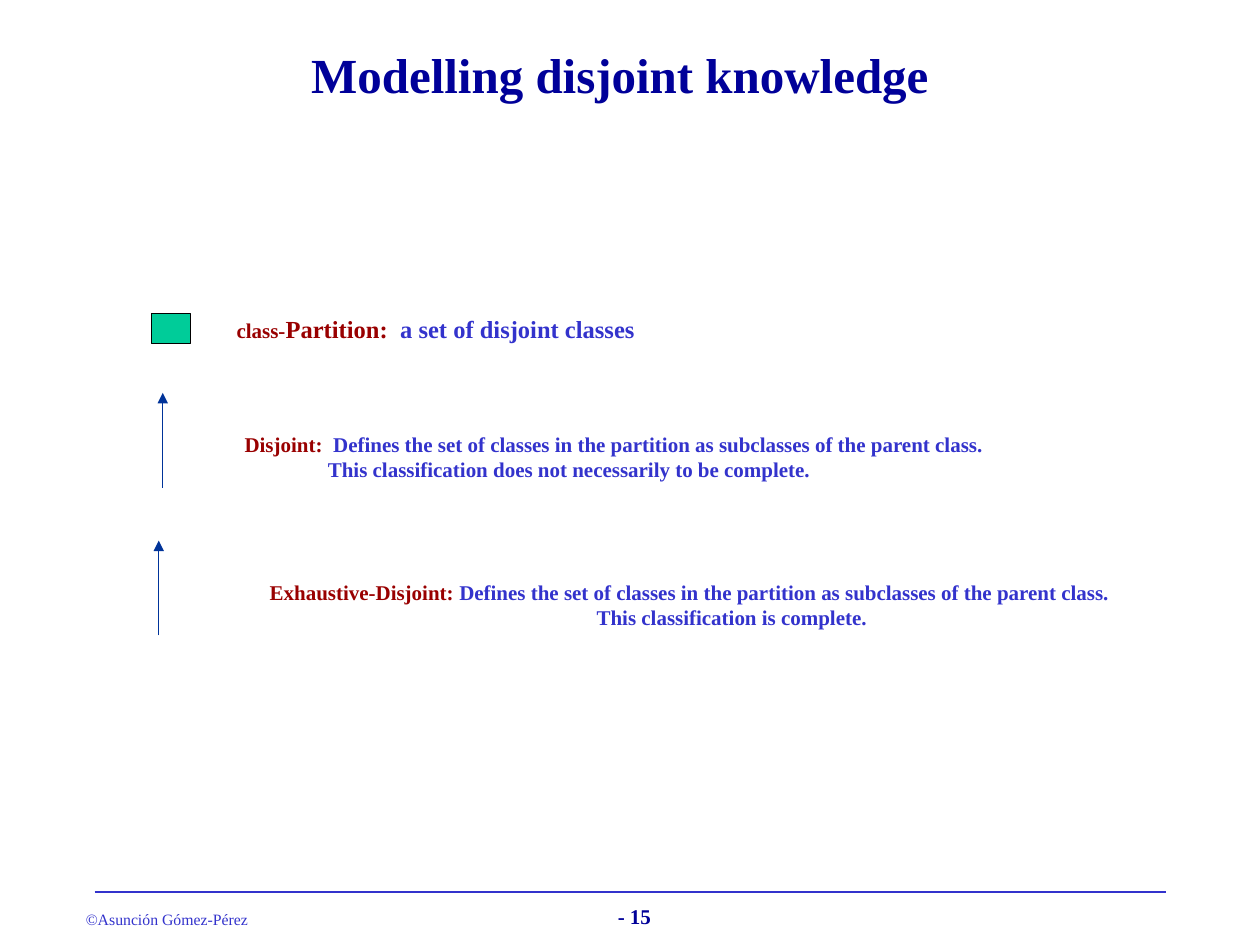
from dataclasses import dataclass

from lxml import etree
from pptx import Presentation
from pptx import util as u
from pptx.dml.color import RGBColor
from pptx.enum import shapes, text
from pptx.oxml import ns

Cm, Pt = u.Cm, u.Pt
LEFT, MID = text.PP_ALIGN.LEFT, text.PP_ALIGN.CENTER


@dataclass(frozen=True)
class Theme:
    font: str = "Times New Roman"
    navy: str = "000099"
    blue: str = "3333CC"
    red: str = "990000"
    green: str = "00CC99"
    black: str = "000000"
    arrow: str = "003399"
    title: int = 28
    lead: int = 14
    body: int = 12
    small: int = 9


T = Theme()


def rgb(code):
    return RGBColor.from_string(code)


def write(slide, box, paras, size=T.body, color=T.blue, bold=True,
          align=LEFT, anchor=text.MSO_ANCHOR.TOP, indent=0):
    """Each paragraph is a list of (text, format) runs; indent is for lines after the first."""
    frame = slide.shapes.add_textbox(*map(Cm, box)).text_frame
    frame.word_wrap = True
    frame.vertical_anchor = anchor
    for i, runs in enumerate(paras):
        para = frame.paragraphs[0] if i == 0 else frame.add_paragraph()
        para.alignment = align
        if i and indent:
            props = para._p.get_or_add_pPr()
            props.set("marL", str(Cm(indent)))
            props.set("indent", "0")
        for words, form in runs:
            run = para.add_run()
            run.text = words
            font = run.font
            font.name, font.bold = T.font, bold
            font.size = Pt(form.get("size", size))
            font.color.rgb = rgb(form.get("color", color))


def draw_line(slide, start, end, color, width, head=False):
    line = slide.shapes.add_connector(
        shapes.MSO_CONNECTOR.STRAIGHT, *map(Cm, (*start, *end)))
    line.line.color.rgb = rgb(color)
    line.line.width = Pt(width)
    if head:
        etree.SubElement(line.line._get_or_add_ln(), ns.qn("a:tailEnd"), type="triangle")
    etree.SubElement(line._element.spPr, ns.qn("a:effectLst"))


def add_title(slide, box):
    write(slide, box, [[("Modelling disjoint knowledge", {})]], size=T.title,
          color=T.navy, align=MID, anchor=text.MSO_ANCHOR.MIDDLE)


def add_class(slide, box):
    """Green swatch and the meaning of a class partition."""
    x, y, w, h = box
    swatch = slide.shapes.add_shape(
        shapes.MSO_SHAPE.RECTANGLE, *map(Cm, (x, y + 0.12, 0.79, 0.61)))
    swatch.shadow.inherit = False
    swatch.fill.solid()
    swatch.fill.fore_color.rgb = rgb(T.green)
    swatch.line.color.rgb = rgb(T.black)
    swatch.line.width = Pt(0.75)
    write(slide, (x + 1.47, y, w - 1.47, h), [[
        ("class-", {"color": T.red, "size": T.body}),
        ("Partition:", {"color": T.red}),
        ("  a set of disjoint classes", {}),
    ]], size=T.lead)


def add_link(slide, box, gap, name, note, **form):
    """Upward arrow, then, after the gap, the meaning of the relation."""
    x, y, w, h = box
    draw_line(slide, (x, y + h), (x, y), T.arrow, 0.75, head=True)
    first = "Defines the set of classes in the partition as subclasses of the parent class."
    write(slide, (x + gap, y + 0.65, w - gap, h - 0.65),
          [[(name, {"color": T.red}), (first, {})], [(note, {})]], **form)


def add_footer(slide, box):
    x, y, w, h = box
    draw_line(slide, (x, y), (x + w, y), T.blue, 1)
    write(slide, (x - 0.43, y + 0.23, 4, h - 0.23),
          [[("©Asunción Gómez-Pérez", {})]], size=T.small, bold=False)
    write(slide, (x + 8.2, y + 0.1, 5.36, h - 0.1),
          [[("- 15", {})]], color=T.navy, align=MID)


def main():
    deck = Presentation()
    deck.slide_width, deck.slide_height = Cm(25.4), Cm(19.05)
    slide = deck.slides.add_slide(deck.slide_layouts[6])
    add_footer(slide, (1.91, 17.98, 21.59, 0.86))
    add_title(slide, (1.7, 0.43, 21.59, 2.11))
    add_class(slide, (3.05, 6.2, 10.2, 0.86))
    add_link(slide, (3.28, 7.92, 17, 1.91), 1.4, "Disjoint:  ",
             "This classification does not necessarily to be complete.", indent=1.68)
    add_link(slide, (3.2, 10.9, 19.48, 1.91), 1.93, "Exhaustive-Disjoint: ",
             "This classification is complete.", align=MID, indent=1.7)
    deck.save("out.pptx")


if __name__ == "__main__":
    main()
